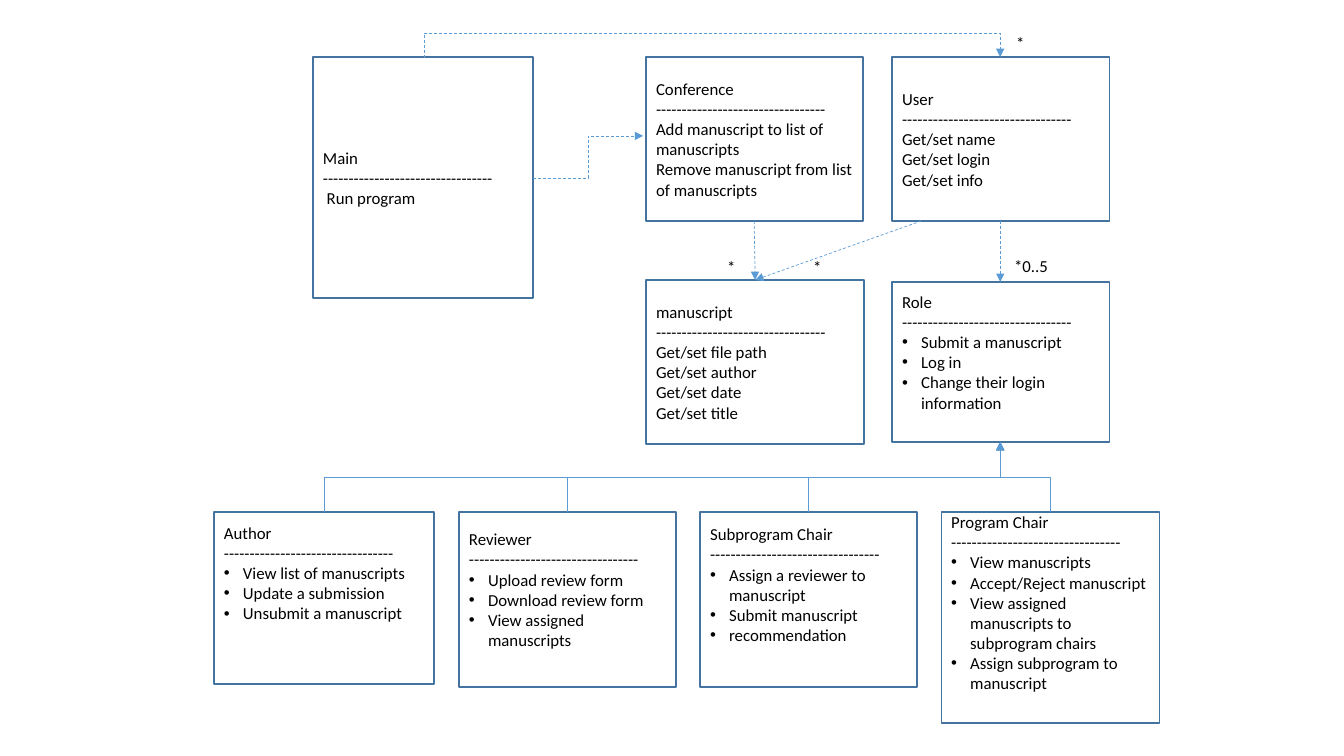
"""Build a class diagram of a conference manuscript system."""
from pptx import Presentation
from pptx.dml.color import RGBColor
from pptx.enum.dml import MSO_LINE
from pptx.enum.shapes import MSO_CONNECTOR as CONN, MSO_SHAPE as SHAPE
from pptx.enum.text import MSO_ANCHOR as ANCHOR, PP_ALIGN as ALIGN
from pptx.oxml.ns import qn
from pptx.util import Inches, Pt
from lxml.etree import SubElement

COLORS = {"fill": "FFFFFF", "border": "43739E", "link": "5B9BD5", "text": "000000"}
RULE = "-" * 33
PX = Inches(1) / 100.8
INDENT = 19

# name, box, space below the text, bulleted, members
CLASSES = [
    ("Author", (214, 512, 220, 172), 50, True,
     ["View list of manuscripts", "Update a submission", "Unsubmit a manuscript"]),
    ("User", (892, 57, 217, 164), 0, False,
     ["Get/set name", "Get/set login", "Get/set info"]),
    ("Subprogram Chair", (700, 512, 217, 175), 30, True,
     ["Assign a reviewer to manuscript", "Submit manuscript", "recommendation"]),
    ("Program Chair", (941, 512, 218, 211), 30, True,
     ["View manuscripts", "Accept/Reject manuscript",
      "View assigned manuscripts to subprogram chairs",
      "Assign subprogram to manuscript"]),
    ("Role", (892, 282, 217, 160), 20, True,
     ["Submit a manuscript", "Log in", "Change their login information"]),
    ("Main", (313, 57, 220, 241), 0, False, [" Run program"]),
    ("Conference", (646, 57, 217, 164), 0, False,
     ["Add manuscript to list of manuscripts",
      "Remove manuscript from list of manuscripts"]),
    ("manuscript", (646, 280, 218, 164), 0, False,
     ["Get/set file path", "Get/set author", "Get/set date", "Get/set title"]),
    ("Reviewer", (459, 512, 217, 175), 20, True,
     ["Upload review form", "Download review form", "View assigned manuscripts"]),
]
USES = [
    (CONN.STRAIGHT, (1000, 221), (1000, 282)),
    (CONN.STRAIGHT, (921, 221), (755, 280)),
    (CONN.STRAIGHT, (754, 221), (755, 280)),
    (CONN.ELBOW, (533, 178), (643, 136)),
]
MAIN_TO_USER = (424, 58), (1000, 57), 33
ROLE_BOTTOM, BUS_Y = (1000, 442), 477
SUBCLASSES = ["Author", "Program Chair", "Subprogram Chair", "Reviewer"]
LABELS = [("*", (803, 252, 38, 30)), ("*0..5", (1004, 251, 60, 30)),
          ("*", (717, 252, 38, 30)), ("*", (1006, 28, 38, 30))]


def px(*values):
    return [round(v * PX) for v in values]


def rgb(name):
    return RGBColor.from_string(COLORS[name])


def write(sp, lines):
    tf = sp.text_frame
    tf.word_wrap = True
    tf.text = "\n".join(lines)
    for p in tf.paragraphs:
        p.alignment = ALIGN.LEFT
        for r in p.runs:
            r.font.size, r.font.name = Pt(12), "Calibri"
            r.font.color.rgb = rgb("text")
    return tf


def add_class(name, box, below, bulleted, members):
    sp = shapes.add_shape(SHAPE.RECTANGLE, *px(*box))
    sp.shadow.inherit = False
    sp.fill.solid()
    sp.fill.fore_color.rgb = rgb("fill")
    sp.line.color.rgb, sp.line.width = rgb("border"), Pt(1)
    tf = write(sp, [name, RULE, *members])
    tf.vertical_anchor = ANCHOR.MIDDLE
    tf.margin_bottom, = px(5 + below)
    for p in tf.paragraphs[2:] if bulleted else []:
        pPr = p._p.get_or_add_pPr()
        indent, = px(INDENT)
        pPr.set("marL", str(indent))
        pPr.set("indent", str(-indent))
        SubElement(pPr, qn("a:buFont"), typeface="Arial")
        SubElement(pPr, qn("a:buChar"), char="•")


def add_link(kind, start, end, dashed):
    c = shapes.add_connector(kind, *px(*start, *end))
    c.line.color.rgb, c.line.width = rgb("link"), Pt(0.5)
    if dashed:
        c.line.dash_style = MSO_LINE.DASH
    SubElement(c.line._get_or_add_ln(), qn("a:tailEnd"), type="triangle")
    SubElement(c._element.spPr, qn("a:effectLst"))
    return c


def add_upward_elbow(start, end, via_y, dashed=False):
    (x1, y1), (x2, y2) = start, end
    w, h = y1 - y2, abs(x2 - x1)
    c = add_link(CONN.ELBOW, start, end, dashed)
    c.left, c.top, c.width, c.height = px(
        (x1 + x2 - w) / 2, (y1 + y2 - h) / 2, w, h)
    rightward = x2 > x1
    xfrm = c._element.spPr.find(qn("a:xfrm"))
    xfrm.set("rot", str((90 if rightward else 270) * 60000))
    xfrm.set("flipH", str(int(rightward)))
    xfrm.set("flipV", "1")
    adjust = round((y1 - via_y) / w * 100000)
    av = c._element.spPr.find(qn("a:prstGeom")).find(qn("a:avLst"))
    SubElement(av, qn("a:gd"), name="adj1", fmla=f"val {adjust}")


prs = Presentation()
prs.slide_width, prs.slide_height = Inches(13.33), Inches(7.5)
shapes = prs.slides.add_slide(prs.slide_layouts[6]).shapes

for item in CLASSES:
    add_class(*item)
for kind, start, end in USES:
    add_link(kind, start, end, True)
add_upward_elbow(*MAIN_TO_USER, dashed=True)

boxes = {name: box for name, box, *_ in CLASSES}
for name in SUBCLASSES:
    x, y, w, _ = boxes[name]
    add_upward_elbow((x + w // 2, y), ROLE_BOTTOM, BUS_Y)
for text, box in LABELS:
    write(shapes.add_textbox(*px(*box)), [text])

prs.save("out.pptx")
